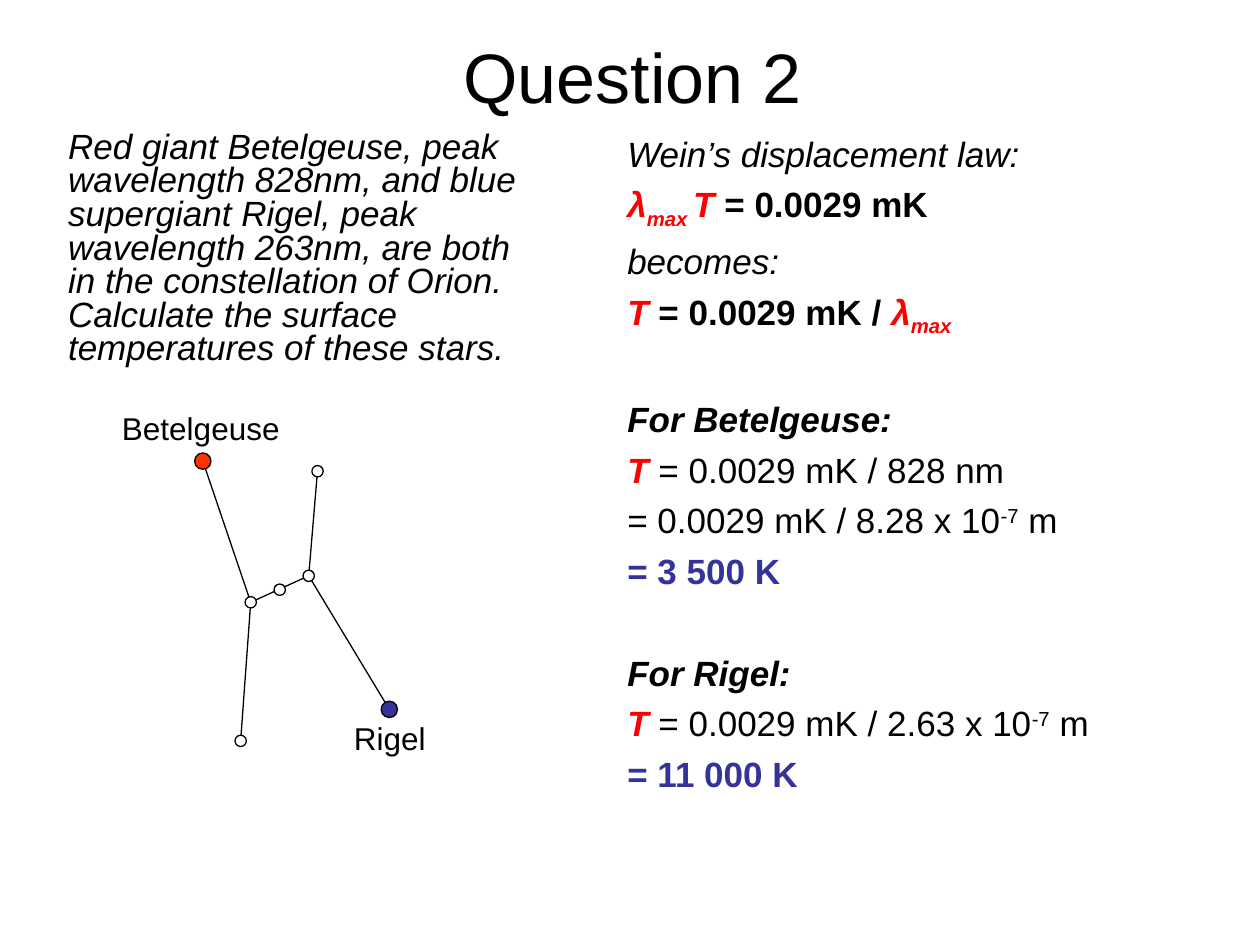
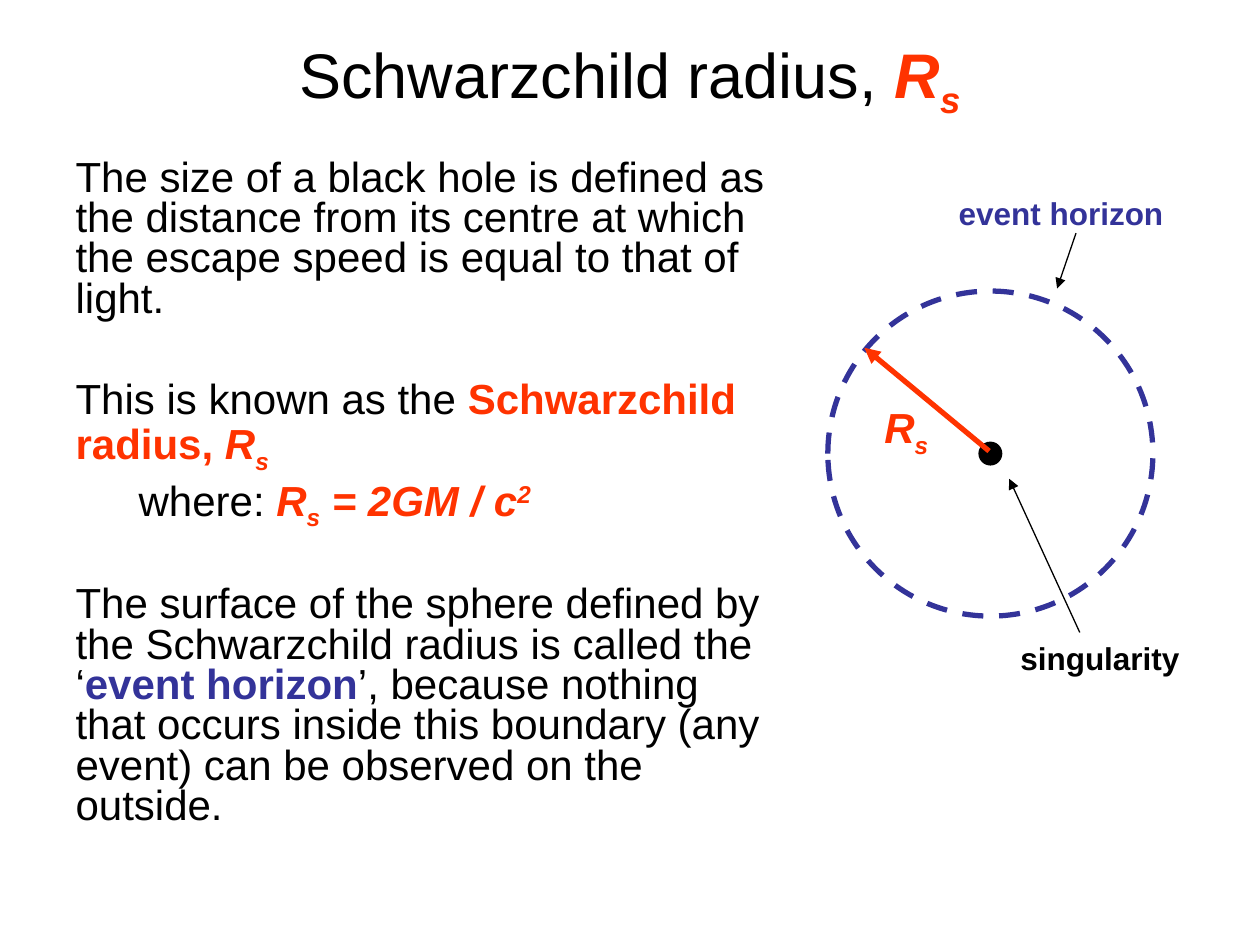
from pptx import Presentation
from pptx.dml.color import RGBColor
from pptx.enum.dml import MSO_LINE
from pptx.enum.shapes import MSO_CONNECTOR, MSO_SHAPE
from pptx.enum.text import MSO_ANCHOR, MSO_AUTO_SIZE, PP_ALIGN
from pptx.oxml.ns import qn
from pptx.util import Inches, Pt
from lxml import etree

BLACK = RGBColor(0x00, 0x00, 0x00)
WHITE = RGBColor(0xFF, 0xFF, 0xFF)
RED = RGBColor(0xFF, 0x00, 0x00)
ORANGE = RGBColor(0xFF, 0x33, 0x00)
INDIGO = RGBColor(0x33, 0x33, 0x99)

STRAIGHT = MSO_CONNECTOR.STRAIGHT
OVAL = MSO_SHAPE.OVAL
DASH = MSO_LINE.DASH
TOP, MIDDLE = MSO_ANCHOR.TOP, MSO_ANCHOR.MIDDLE
LEFT, CENTER = PP_ALIGN.LEFT, PP_ALIGN.CENTER
NO_AUTOFIT = MSO_AUTO_SIZE.NONE
TITLE_AND_CONTENT = 1

SUB, SUPER = -25000, 30000
PLAIN = {}
ITALIC = {"italic": True}
BOLD = {"bold": True}
STRONG = {"bold": True, "italic": True}
RED_SYMBOL = {**STRONG, "color": RED}
RED_SUB = {**RED_SYMBOL, "baseline": SUB}
ORANGE_BOLD = {**BOLD, "color": ORANGE}
ORANGE_SYMBOL = {**STRONG, "color": ORANGE}
ORANGE_SUB = {**ORANGE_SYMBOL, "baseline": SUB}
ORANGE_SUPER = {**ORANGE_SYMBOL, "baseline": SUPER}
INDIGO_BOLD = {**BOLD, "color": INDIGO}
RAISED = {"baseline": SUPER}


class Deck:
    """Holds the shared style and the current slide, and draws each kind of element."""

    font_name = "Arial"
    hairline = 0.75

    def __init__(self):
        self.prs = Presentation()
        self.prs.slide_width, self.prs.slide_height = Inches(10), Inches(7.5)
        self.slide = None

    def new_slide(self):
        layout = self.prs.slide_layouts[TITLE_AND_CONTENT]
        self.slide = self.prs.slides.add_slide(layout)

    def fill_text(self, shape, box, paragraphs, size, gap=0, spacing=1.0,
                  align=LEFT, anchor=TOP, section_gap=0, sections=()):
        shape.left, shape.top, shape.width, shape.height = map(Inches, box)
        frame = shape.text_frame
        frame_format = {
            "word_wrap": True, "auto_size": NO_AUTOFIT, "vertical_anchor": anchor,
            "margin_left": Inches(0.1), "margin_right": Inches(0.1),
            "margin_top": Inches(0.05), "margin_bottom": Inches(0.05),
        }
        for name, value in frame_format.items():
            setattr(frame, name, value)
        for index, runs in enumerate(paragraphs):
            paragraph = frame.add_paragraph() if index else frame.paragraphs[0]
            properties = paragraph._p.get_or_add_pPr()
            properties.set("marL", "0")
            properties.set("indent", "0")
            etree.SubElement(properties, qn("a:buNone"))
            before = section_gap if index in sections else gap
            paragraph_format = {
                "alignment": align, "line_spacing": spacing,
                "space_before": Pt(before if index else 0), "space_after": Pt(0),
            }
            for name, value in paragraph_format.items():
                setattr(paragraph, name, value)
            for text, style in runs:
                self.add_run(paragraph, text, size, **style)

    def add_run(self, paragraph, text, size, color=BLACK, baseline=0,
                bold=False, italic=False):
        run = paragraph.add_run()
        run.text = text
        font_format = {"name": self.font_name, "size": Pt(size),
                       "bold": bold, "italic": italic}
        for name, value in font_format.items():
            setattr(run.font, name, value)
        run.font.color.rgb = color
        if baseline:
            run._r.get_or_add_rPr().set("baseline", str(baseline))

    def title(self, box, runs, size):
        self.fill_text(self.slide.shapes.title, box, [runs], size,
                       align=CENTER, anchor=MIDDLE)

    def body(self, box, paragraphs, size, **layout):
        self.fill_text(self.slide.placeholders[1], box, paragraphs, size,
                       spacing=0.8, **layout)

    def text(self, box, paragraphs, size, **layout):
        textbox = self.slide.shapes.add_textbox(*map(Inches, box))
        self.fill_text(textbox, box, paragraphs, size, **layout)

    def circle(self, center, diameter, fill=None, color=BLACK, width=hairline, dash=None):
        x, y = (Inches(value - diameter / 2) for value in center)
        oval = self.slide.shapes.add_shape(OVAL, x, y, Inches(diameter), Inches(diameter))
        oval.shadow.inherit = False
        if fill is None:
            oval.fill.background()
        else:
            oval.fill.solid()
            oval.fill.fore_color.rgb = fill
        oval.line.color.rgb = color
        oval.line.width = Pt(width)
        if dash:
            oval.line.dash_style = dash

    def line(self, start, end, color=BLACK, width=hairline, arrow=False):
        connector = self.slide.shapes.add_connector(
            STRAIGHT, *map(Inches, (*start, *end)))
        connector.line.color.rgb = color
        connector.line.width = Pt(width)
        properties = connector._element.spPr
        if arrow:
            etree.SubElement(properties.find(qn("a:ln")), qn("a:tailEnd"),
                             type="triangle")
        etree.SubElement(properties, qn("a:effectLst"))


def question_slide(deck):
    """Build the question on the surface temperatures of two stars."""
    deck.new_slide()
    deck.title((0.52, 0.19, 9, 0.82), [("Question 2", PLAIN)], 40)
    deck.body((0.44, 1, 3.9, 2.16), [[(
        "Red giant Betelgeuse, peak wavelength 828nm, and blue supergiant Rigel, "
        "peak wavelength 263nm, are both in the constellation of Orion. "
        "Calculate the surface temperatures of these stars.", ITALIC)]], 20)
    solution = [
        [("Wein’s displacement law:", ITALIC)],
        [("λ", RED_SYMBOL), ("max ", RED_SUB), ("T ", RED_SYMBOL),
         ("= 0.0029 mK", BOLD)],
        [("becomes:", ITALIC)],
        [("T ", RED_SYMBOL), ("= 0.0029 mK / ", BOLD), ("λ", RED_SYMBOL),
         ("max", RED_SUB)],
        [("For Betelgeuse:", STRONG)],
        [("T ", RED_SYMBOL), ("= 0.0029 mK / 828 nm", PLAIN)],
        [("= 0.0029 mK / 8.28 x 10", PLAIN), ("-7", RAISED), (" m", PLAIN)],
        [("= 3 500 K", INDIGO_BOLD)],
        [("For Rigel:", STRONG)],
        [("T ", RED_SYMBOL), ("= 0.0029 mK / 2.63 x 10", PLAIN), ("-7", RAISED),
         (" m", PLAIN)],
        [("= 11 000 K", INDIGO_BOLD)],
    ]
    deck.text((4.88, 1, 4.42, 5.5), solution, 20, gap=5, section_gap=34,
              sections=(4, 8))

    betelgeuse, rigel = (1.61, 3.66), (3.09, 5.63)
    left_foot, right_shoulder = (1.91, 5.88), (2.52, 3.74)
    belt_left, belt_middle, belt_right = (1.99, 4.78), (2.22, 4.68), (2.45, 4.57)
    links = [(betelgeuse, belt_left), (belt_left, left_foot),
             (right_shoulder, belt_right), (belt_right, rigel),
             (belt_left, belt_right)]
    for start, end in links:
        deck.line(start, end)
    for star, color in ((betelgeuse, ORANGE), (rigel, INDIGO)):
        deck.circle(star, 0.13, color)
    for star in (left_foot, belt_left, belt_middle, belt_right, right_shoulder):
        deck.circle(star, 0.09, WHITE)
    deck.text((0.87, 3.2, 1.54, 0.4), [[("Betelgeuse", PLAIN)]], 18)
    deck.text((2.71, 5.66, 0.98, 0.4), [[("Rigel", PLAIN)]], 18)


def radius_slide(deck):
    """Build the definition of the radius and its diagram."""
    deck.new_slide()
    deck.title((0.5, 0.3, 9, 0.64), [
        ("Schwarzchild radius, ", PLAIN), ("R", ORANGE_SYMBOL), ("s", ORANGE_SUB)], 36)
    definition = [
        [("The size of a black hole is defined as the distance from its centre "
          "at which the escape speed is equal to that of light.", PLAIN)],
        [("This is known as the ", PLAIN), ("Schwarzchild radius, ", ORANGE_BOLD),
         ("R", ORANGE_SYMBOL), ("s", ORANGE_SUB)],
        [("\twhere: ", PLAIN), ("R", ORANGE_SYMBOL), ("s", ORANGE_SUB),
         (" = 2GM / c", ORANGE_SYMBOL), ("2", ORANGE_SUPER)],
        [("The surface of the sphere defined by the Schwarzchild radius is called "
          "the ‘", PLAIN), ("event horizon", INDIGO_BOLD),
         ("’, because nothing that occurs inside this boundary (any event) can be "
          "observed on the outside.", PLAIN)],
    ]
    deck.body((0.5, 1.22, 5.68, 5.45), definition, 24, gap=6, section_gap=35,
              sections=(1, 3))

    center = (7.86, 3.6)
    deck.circle(center, 0.18, BLACK)
    deck.circle(center, 2.58, color=INDIGO, width=3, dash=DASH)
    deck.line((7.85, 3.58), (6.86, 2.76), ORANGE, 3, arrow=True)
    deck.text((6.92, 3.14, 0.85, 0.56),
              [[("R", ORANGE_SYMBOL), ("s", ORANGE_SUB)]], 24)
    deck.text((8, 5.02, 1.67, 0.4), [[("singularity", BOLD)]], 18)
    deck.line((8.57, 5.02), (8.01, 3.8), arrow=True)
    deck.text((7.51, 1.49, 2.11, 0.4), [[("event horizon", INDIGO_BOLD)]], 18)
    deck.line((8.54, 1.85), (8.39, 2.29), arrow=True)


def main():
    """Build both slides and save them."""
    deck = Deck()
    question_slide(deck)
    radius_slide(deck)
    deck.prs.save("out.pptx")


if __name__ == "__main__":
    main()
